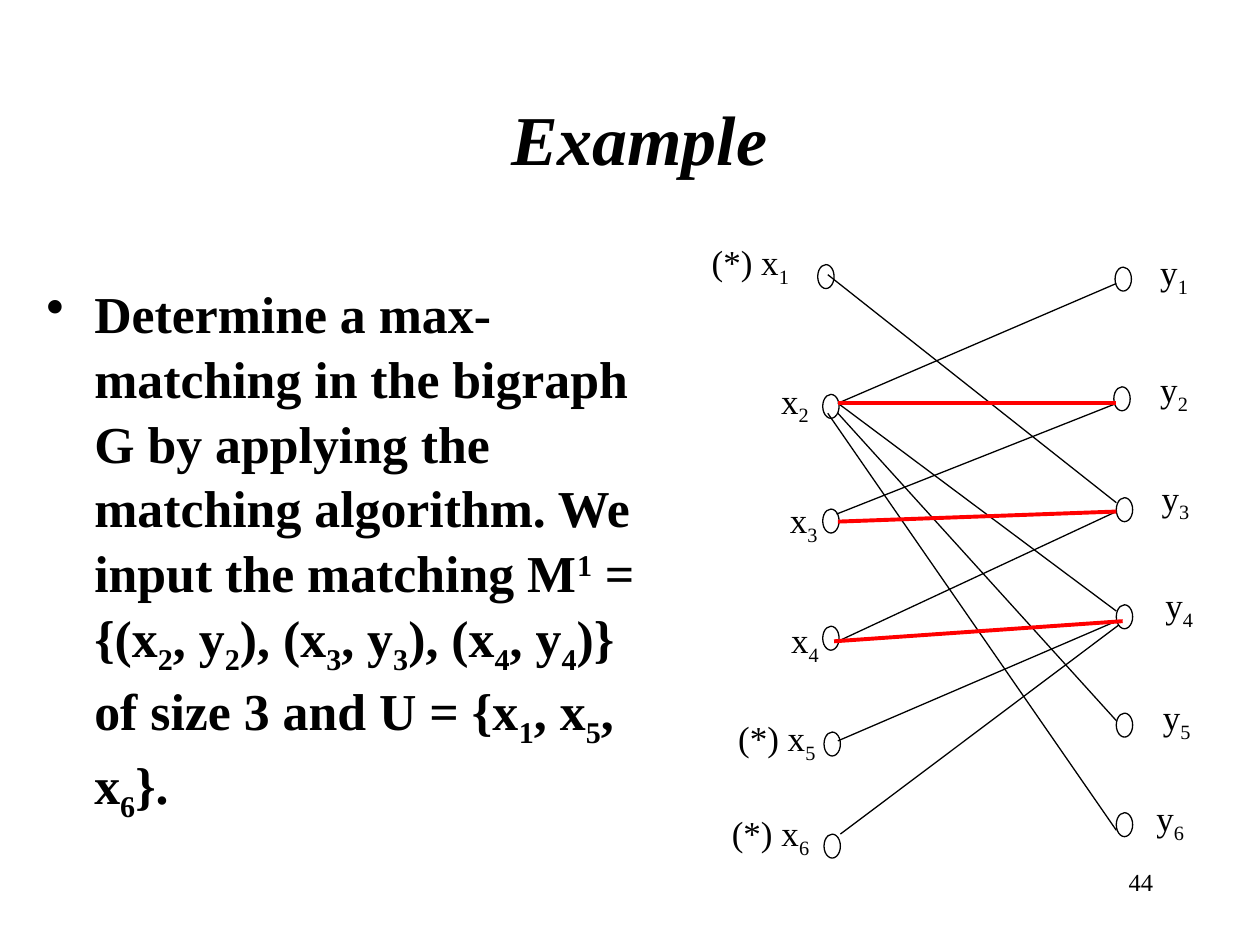
import pptx
import pptx.dml.color
import pptx.enum.shapes
import pptx.enum.text
import pptx.oxml
import pptx.oxml.ns
import pptx.util
from pptx.util import Inches

COLORS = {"ink": "000000", "matching": "FF0000"}
FONT = "Times New Roman"
NODE_SIZE = (0.13, 0.19)

# Offsets from the graph's corner: label text, index, label position, node position
X_VERTICES = [
    ("(*) x", "1", (0.05, 0.06), (0.99, 0.30)),
    ("x", "2", (0.60, 1.16), (1.03, 1.33)),
    ("x", "3", (0.67, 2.11), (1.03, 2.24)),
    ("x", "4", (0.68, 3.06), (1.03, 3.17)),
    ("(*) x", "5", (0.26, 3.84), (1.04, 4.01)),
    ("(*) x", "6", (0.21, 4.59), (1.04, 4.82)),
]
Y_VERTICES = [
    ("y", "1", (3.61, 0.14), (3.35, 0.32)),
    ("y", "2", (3.61, 1.07), (3.34, 1.27)),
    ("y", "3", (3.62, 1.93), (3.36, 2.15)),
    ("y", "4", (3.65, 2.78), (3.36, 3.00)),
    ("y", "5", (3.63, 3.67), (3.36, 3.86)),
    ("y", "6", (3.58, 4.47), (3.36, 4.65)),
]
EDGES = [
    ((1.15, 1.40), (3.36, 0.45)),
    ((1.15, 1.40), (3.36, 3.05)),
    ((1.15, 1.48), (3.36, 3.92)),
    ((1.07, 1.48), (3.36, 4.79)),
    ((1.14, 2.28), (3.34, 1.41)),
    ((1.15, 3.29), (3.36, 2.26)),
    ((1.15, 4.08), (3.36, 3.13)),
    ((1.17, 4.82), (3.38, 3.16)),
    ((1.07, 0.38), (3.36, 2.19)),
]
MATCHING_EDGES = [
    ((1.15, 2.34), (3.36, 2.26)),
    ((1.12, 3.29), (3.41, 3.13)),
    ((1.15, 1.40), (3.36, 1.40)),
]


def rgb(name):
    return pptx.dml.color.RGBColor.from_string(COLORS[name])


def add_text_box(shapes, left, top, width, height):
    text_frame = shapes.add_textbox(
        Inches(left), Inches(top), Inches(width), Inches(height)).text_frame
    text_frame.word_wrap = True
    return text_frame


def add_run(paragraph, text, size, bold=False, italic=False, baseline=0):
    run = paragraph.add_run()
    run.text = text
    run.font.name = FONT
    run.font.size = pptx.util.Pt(size)
    run.font.bold = bold
    run.font.italic = italic
    run.font.color.rgb = rgb("ink")
    if baseline:
        run.font._element.set("baseline", str(baseline * 1000))


def add_title(slide, left, top, width, height):
    text_frame = add_text_box(slide.shapes, left, top, width, height)
    text_frame.vertical_anchor = pptx.enum.text.MSO_ANCHOR.MIDDLE
    paragraph = text_frame.paragraphs[0]
    paragraph.alignment = pptx.enum.text.PP_ALIGN.CENTER
    add_run(paragraph, "Example", 40, bold=True, italic=True)
    add_run(paragraph, " ", 44, italic=True)


def add_page_number(slide, left, top, width, height):
    paragraph = add_text_box(slide.shapes, left, top, width, height).paragraphs[0]
    paragraph.alignment = pptx.enum.text.PP_ALIGN.RIGHT
    add_run(paragraph, "44", 14)


def add_task(slide, left, top, width, height):
    paragraph = add_text_box(slide.shapes, left, top, width, height).paragraphs[0]
    paragraph.line_spacing = 1.04
    # Hanging bullet
    properties = paragraph._p.get_or_add_pPr()
    properties.set("marL", str(Inches(0.38)))
    properties.set("indent", str(-Inches(0.38)))
    bullet = pptx.oxml.parse_xml(
        f'<a:buChar {pptx.oxml.ns.nsdecls("a")} char="•"/>')
    properties.append(bullet)

    # Text and the raised or lowered index that follows it
    pieces = [
        ("Determine a max-matching in the bigraph G by applying the "
         "matching algorithm. We input the matching M", "1", 30),
        (" = {(x", "2", -25), (", y", "2", -25),
        ("), (x", "3", -25), (", y", "3", -25),
        ("), (x", "4", -25), (", y", "4", -25),
        (")} of size 3 and U = {x", "1", -25),
        (", x", "5", -25), (", x", "6", -25),
    ]
    for text, index, baseline in pieces:
        add_run(paragraph, text, 29.6, bold=True)
        add_run(paragraph, index, 29.6, bold=True, baseline=baseline)
    add_run(paragraph, "}.", 29.6, bold=True)


def add_vertices(shapes, left, top, vertices):
    for name, index, (label_x, label_y), (node_x, node_y) in vertices:
        node = shapes.add_shape(
            pptx.enum.shapes.MSO_SHAPE.OVAL, Inches(left + node_x),
            Inches(top + node_y), *map(Inches, NODE_SIZE))
        node.shadow.inherit = False
        node.fill.background()
        node.line.color.rgb = rgb("ink")
        node.line.width = pptx.util.Pt(0.75)

        label_width = 1.13 if name.startswith("(*)") else 0.65
        label = add_text_box(
            shapes, left + label_x, top + label_y, label_width, 0.48)
        add_run(label.paragraphs[0], name, 20)
        add_run(label.paragraphs[0], index, 20, baseline=-25)


def add_edges(slide, left, top, edges, color, width):
    for (start_x, start_y), (end_x, end_y) in edges:
        edge = slide.shapes.add_connector(
            pptx.enum.shapes.MSO_CONNECTOR.STRAIGHT,
            Inches(left + start_x), Inches(top + start_y),
            Inches(left + end_x), Inches(top + end_y))
        edge.line.color.rgb = rgb(color)
        edge.line.width = pptx.util.Pt(width)
        edge._element.spPr.append(pptx.oxml.parse_xml(
            f'<a:effectLst {pptx.oxml.ns.nsdecls("a")}/>'))


def add_bigraph(slide, left, top):
    add_vertices(slide.shapes, left, top, X_VERTICES)
    y_group = slide.shapes.add_group_shape()
    add_vertices(y_group.shapes, left, top, Y_VERTICES)
    add_edges(slide, left, top, EDGES, "ink", 0.75)
    add_edges(slide, left, top, MATCHING_EDGES, "matching", 2.25)


def main():
    presentation = pptx.Presentation()
    presentation.slide_width = Inches(10)
    presentation.slide_height = Inches(7.5)
    slide = presentation.slides.add_slide(presentation.slide_layouts[6])
    add_page_number(slide, 7.17, 6.83, 2.08, 0.5)
    add_title(slide, 0.9, 0.44, 8.5, 1.25)
    add_task(slide, 0.27, 2.17, 5.12, 4.5)
    add_bigraph(slide, 5.5, 1.8)
    presentation.save("out.pptx")


if __name__ == "__main__":
    main()
